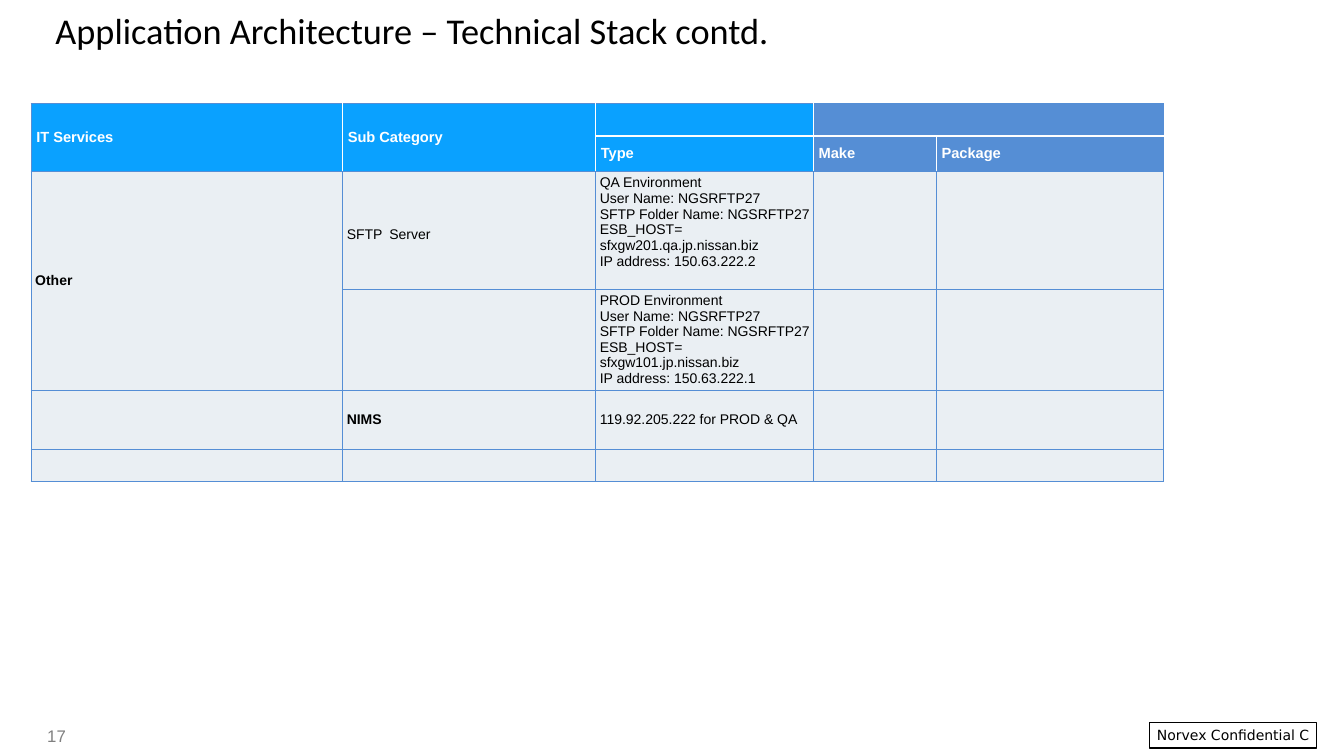
"""Build the technical stack slide with its services table."""
from lxml import etree
from pptx import Presentation
from pptx.dml.color import RGBColor
from pptx.enum import shapes, text
from pptx.oxml.ns import qn
from pptx.util import Inches, Pt

COLORS = {"sky": "0AA1FF", "blue": "558ED5", "pale": "EAEFF3",
          "white": "FFFFFF", "black": "000000", "gray": "808080"}
TITLE = "Application Architecture – Technical Stack contd."
PAGE = "17"
LABEL = "Norvex Confidential C"


def environment(name, host, address):
    return [f"{name} Environment", "User Name: NGSRFTP27",
            "SFTP Folder Name: NGSRFTP27", f"ESB_HOST= {host}",
            f"IP address: {address}"]


QA = environment("QA", "sfxgw201.qa.jp.nissan.biz", "150.63.222.2")
PROD = environment("PROD", "sfxgw101.jp.nissan.biz", "150.63.222.1")
ROWS = [
    [["IT Services"], ["Sub Category"], [], [], []],
    [[], [], ["Type"], ["Make"], ["Package"]],
    [["Other"], ["SFTP Server"], QA, [], []],
    [[], [], PROD, [], []],
    [[], ["NIMS"], ["119.92.205.222 for PROD & QA"], [], []],
    [[], [], [], [], []],
]
BOLD_LABELS = {"Other", "NIMS"}
MERGES = [((0, 0), (1, 0)), ((0, 1), (1, 1)), ((0, 3), (0, 4)), ((2, 0), (3, 0))]
COL_WIDTHS = [3.09, 2.51, 2.16, 1.22, 2.25]
ROW_HEIGHTS = [0.32, 0.35, 1.17, 1.0, 0.59, 0.32]
HEADER_ROWS = 2
LAST_COL = len(COL_WIDTHS) - 1


def rgb(name):
    return RGBColor.from_string(COLORS[name])


def set_attrs(target, values):
    for name, value in values.items():
        setattr(target, name, value)


def add_run(p, words, size, color, font="Arial", bold=False):
    r = p.add_run()
    r.text = words
    set_attrs(r.font, {"size": Pt(size), "name": font, "bold": bold})
    r.font.color.rgb = rgb(color)


def set_margins(target, left, rest):
    set_attrs(target, {"margin_left": Inches(left), "margin_right": Inches(rest),
                       "margin_top": Inches(rest), "margin_bottom": Inches(rest)})


def edge_colors(row, col):
    header = row < HEADER_ROWS
    split = header and col >= 2
    white = {
        "L": header and col > 0,
        "R": header and col < LAST_COL and (row, col) != (0, 3),
        "T": split and row == 1,
        "B": split and row == 0,
    }
    return {side: "white" if on else "blue" for side, on in white.items()}


def set_borders(cell, edges):
    tc_pr = cell._tc.get_or_add_tcPr()
    for side, color in edges.items():
        ln = etree.SubElement(tc_pr, qn(f"a:ln{side}"), w=str(Pt(1)))
        fill = etree.SubElement(ln, qn("a:solidFill"))
        etree.SubElement(fill, qn("a:srgbClr"), val=COLORS[color])


def fill_cell(cell, row, col, lines):
    header = row < HEADER_ROWS
    set_borders(cell, edge_colors(row, col))
    cell.fill.solid()
    cell.fill.fore_color.rgb = rgb(("sky" if col < 3 else "blue") if header else "pale")
    cell.vertical_anchor = text.MSO_ANCHOR.MIDDLE
    inset = 0.05 if header and lines else 0
    set_margins(cell, inset or 0.04, inset)
    if lines is QA:
        cell.margin_bottom = Inches(0.16)
    tf = cell.text_frame
    for i, line in enumerate(lines):
        p = tf.add_paragraph() if i else tf.paragraphs[0]
        if line == "SFTP Server":
            for words, size in (("SFTP", 10), (" ", 18), ("Server", 10)):
                add_run(p, words, size, "black", bold=size == 18)
        elif header:
            add_run(p, line, 10.5, "white", bold=True)
        else:
            add_run(p, line, 10, "black", bold=line in BOLD_LABELS)


def add_title(s):
    title = s.shapes.title
    set_attrs(title, {"left": Inches(0.55), "top": Inches(0.13),
                      "width": Inches(7.78), "height": Inches(0.39)})
    tf = title.text_frame
    set_margins(tf, 0, 0)
    set_attrs(tf, {"word_wrap": False, "vertical_anchor": text.MSO_ANCHOR.TOP,
                   "auto_size": text.MSO_AUTO_SIZE.NONE})
    p = tf.paragraphs[0]
    set_attrs(p, {"alignment": text.PP_ALIGN.LEFT, "line_spacing": 0.9})
    add_run(p, TITLE, 25.9, "black", "Calibri")


def add_stack_table(s):
    frame = s.shapes.add_table(len(ROWS), len(COL_WIDTHS), Inches(0.31), Inches(1.03),
                               Inches(sum(COL_WIDTHS)), Inches(sum(ROW_HEIGHTS)))
    table = frame.table
    set_attrs(table, {"first_row": False, "horz_banding": False})
    for column, width in zip(table.columns, COL_WIDTHS):
        column.width = Inches(width)
    for row, height in zip(table.rows, ROW_HEIGHTS):
        row.height = Inches(height)
    for i, row in enumerate(ROWS):
        for j, lines in enumerate(row):
            fill_cell(table.cell(i, j), i, j, lines)
    for first, last in MERGES:
        table.cell(*first).merge(table.cell(*last))


def add_footer(s):
    page = s.shapes.add_textbox(Inches(0.37), Inches(7.15), Inches(0.71), Inches(0.3))
    page.text_frame.word_wrap = True
    add_run(page.text_frame.paragraphs[0], PAGE, 12, "gray")

    sp = s.shapes.add_shape(shapes.MSO_SHAPE.RECTANGLE, Inches(11.4), Inches(7.17),
                            Inches(1.66), Inches(0.25))
    sp.shadow.inherit = False
    sp.fill.solid()
    sp.fill.fore_color.rgb = rgb("white")
    sp.line.color.rgb = rgb("black")
    sp.line.width = Pt(1)
    tf = sp.text_frame
    set_margins(tf, 0.08, 0.04)
    set_attrs(tf, {"margin_right": Inches(0.08), "word_wrap": False,
                   "vertical_anchor": text.MSO_ANCHOR.MIDDLE})
    p = tf.paragraphs[0]
    p.alignment = text.PP_ALIGN.CENTER
    add_run(p, LABEL, 10, "black", "DejaVu Sans")


def main():
    prs = Presentation()
    set_attrs(prs, {"slide_width": Inches(13.33), "slide_height": Inches(7.5)})
    s = prs.slides.add_slide(prs.slide_layouts[5])
    add_footer(s)
    add_stack_table(s)
    add_title(s)
    prs.save("out.pptx")


if __name__ == "__main__":
    main()
